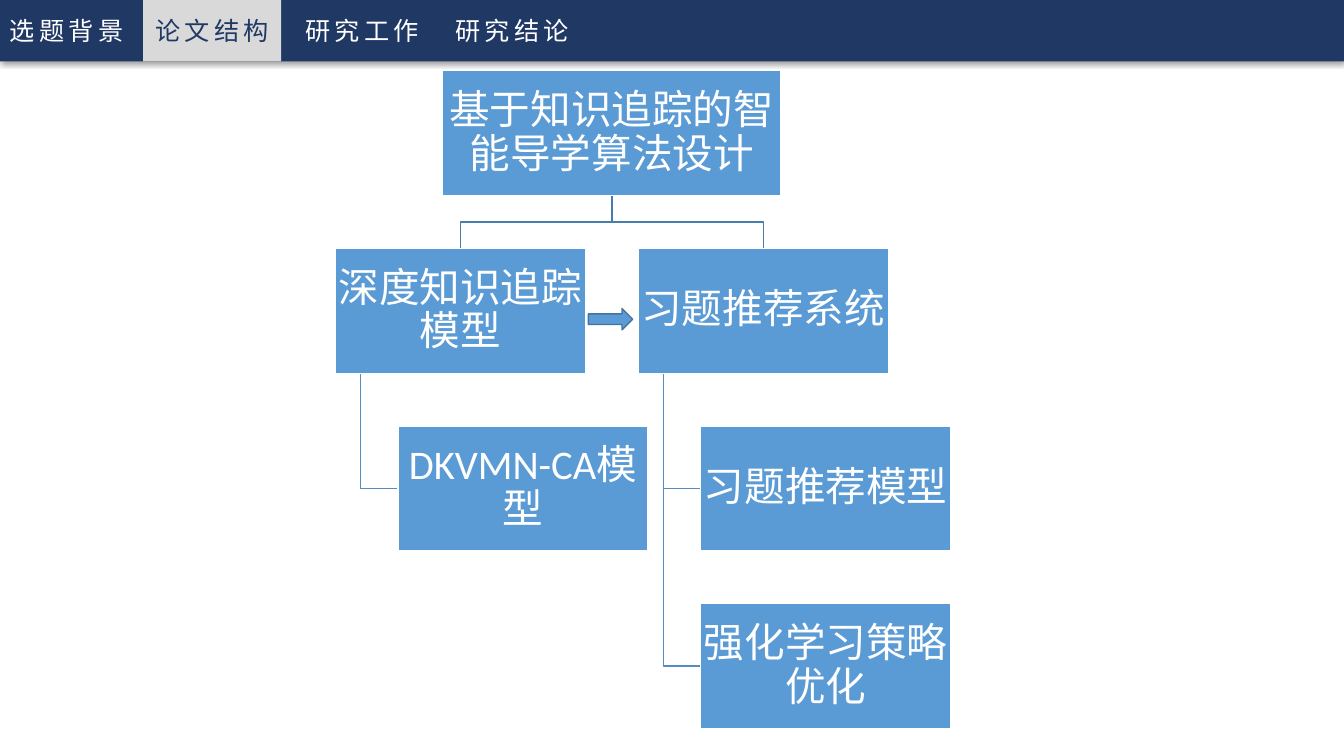
import pptx
import pptx.util
import pptx.oxml
import pptx.oxml.ns
from pptx.dml.color import RGBColor
from pptx.enum.shapes import MSO_SHAPE
from pptx.enum.text import MSO_ANCHOR, PP_ALIGN

Pt = pptx.util.Pt
NAVY = RGBColor(0x20, 0x38, 0x64)
GREY = RGBColor(0xD9, 0xD9, 0xD9)
WHITE = RGBColor(0xFF, 0xFF, 0xFF)
BLUE = RGBColor(0x5B, 0x9B, 0xD5)
BRANCH_LINE = RGBColor(0x49, 0x7C, 0xAB)
LEAF_LINE = RGBColor(0x53, 0x8D, 0xC1)
ARROW_LINE = RGBColor(0x43, 0x73, 0x9E)
TAB_FONT = "Noto Sans CJK JP"
TREE_FONT = "Calibri"

TABS = [("选题背景", 0), ("论文结构", 102.2), ("研究工作", 211), ("研究结论", 318.2)]
ACTIVE_TAB = "论文结构"
ROOT = "基于知识追踪的智能导学算法设计"
BRANCHES = [
    ("深度知识追踪模型", ["DKVMN-CA模型"]),
    ("习题推荐系统", ["习题推荐模型", "强化学习策略优化"]),
]

SLIDE_WIDTH, SLIDE_HEIGHT = 960, 540
BANNER_HEIGHT = 43.9
TAB_WIDTH, TAB_TOP, TAB_HEIGHT = 98.6, 7.4, 29.1
TREE_TOP, ROW_PITCH = 50.5, 126.9
TREE_LEFT, BRANCH_PITCH, LEAF_INDENT = 239.6, 216.3, 44.7
BOX_WIDTH, BOX_HEIGHT, ROOT_WIDTH = 178.7, 89.3, 241.9

presentation = pptx.Presentation()
presentation.slide_width, presentation.slide_height = Pt(SLIDE_WIDTH), Pt(SLIDE_HEIGHT)
slide = presentation.slides.add_slide(presentation.slide_layouts[6])
tree = slide.shapes.add_group_shape()


def add_block(shapes, kind, left, top, width, height, fill, line=None):
    shape = shapes.add_shape(kind, Pt(left), Pt(top), Pt(width), Pt(height))
    shape.shadow.inherit = False
    shape.fill.solid()
    shape.fill.fore_color.rgb = fill
    if line is None:
        shape.line.fill.background()
    else:
        shape.line.color.rgb = line
        shape.line.width = Pt(1)
    return shape


def write(shape, text, size, font_name, color, alignment):
    shape.text_frame.text = text
    paragraph = shape.text_frame.paragraphs[0]
    paragraph.alignment = alignment
    font = paragraph.runs[0].font
    font.size, font.name = Pt(size), font_name
    font.color.rgb = color
    return paragraph


def add_path(points, color):
    corners = [(Pt(x), Pt(y)) for x, y in points]
    builder = tree.shapes.build_freeform(*corners[0])
    builder.add_line_segments(corners[1:], close=False)
    shape = builder.convert_to_shape()
    shape.shadow.inherit = False
    shape.fill.background()
    shape.line.color.rgb = color
    shape.line.width = Pt(1)


def add_box(text, left, top, width=BOX_WIDTH):
    box = add_block(tree.shapes, MSO_SHAPE.RECTANGLE, left, top, width, BOX_HEIGHT, BLUE, WHITE)
    frame = box.text_frame
    frame.word_wrap = True
    frame.vertical_anchor = MSO_ANCHOR.MIDDLE
    frame.margin_left = frame.margin_right = frame.margin_top = frame.margin_bottom = Pt(1.45)
    write(box, text, 29, TREE_FONT, WHITE, PP_ALIGN.CENTER).line_spacing = 0.9


def add_tab(text, left):
    if text == ACTIVE_TAB:
        tab = add_block(slide.shapes, MSO_SHAPE.RECTANGLE, left, 0, TAB_WIDTH, BANNER_HEIGHT, GREY)
        color, alignment = NAVY, PP_ALIGN.CENTER
    else:
        tab = slide.shapes.add_textbox(Pt(left), Pt(TAB_TOP), Pt(TAB_WIDTH), Pt(TAB_HEIGHT))
        color, alignment = WHITE, PP_ALIGN.LEFT
    tab.text_frame.word_wrap = False
    tab.text_frame.vertical_anchor = MSO_ANCHOR.MIDDLE
    paragraph = write(tab, text, 18, TAB_FONT, color, alignment)
    properties = paragraph.runs[0].font._element
    properties.set("spc", "300")
    east_asian = pptx.oxml.parse_xml(
        f'<a:ea {pptx.oxml.ns.nsdecls("a")} typeface="{TAB_FONT}"/>')
    properties.find(pptx.oxml.ns.qn("a:latin")).addnext(east_asian)


branch_top = TREE_TOP + ROW_PITCH
root_bottom = TREE_TOP + BOX_HEIGHT
fork_y = (root_bottom + branch_top) / 2
root_x = TREE_LEFT + (BRANCH_PITCH + BOX_WIDTH) / 2
boxes = [(ROOT, root_x - ROOT_WIDTH / 2, TREE_TOP, ROOT_WIDTH)]

for column, (branch, leaves) in enumerate(BRANCHES):
    left = TREE_LEFT + column * BRANCH_PITCH
    center, stem_x = left + BOX_WIDTH / 2, left + BOX_WIDTH / 10
    add_path([(root_x, root_bottom), (root_x, fork_y), (center, fork_y), (center, branch_top)],
             BRANCH_LINE)
    boxes.append((branch, left, branch_top))
    for row, leaf in enumerate(leaves, start=1):
        leaf_left, leaf_top = left + LEAF_INDENT, branch_top + row * ROW_PITCH
        leaf_y = leaf_top + BOX_HEIGHT / 2
        add_path([(stem_x, branch_top + BOX_HEIGHT), (stem_x, leaf_y), (leaf_left, leaf_y)],
                 LEAF_LINE)
        boxes.append((leaf, leaf_left, leaf_top))

for box in boxes:
    add_box(*box)

banner = add_block(slide.shapes, MSO_SHAPE.RECTANGLE, 0, 0, SLIDE_WIDTH, BANNER_HEIGHT, NAVY)
effects = banner._element.spPr.find(pptx.oxml.ns.qn("a:effectLst"))
effects.append(pptx.oxml.parse_xml(
    f'<a:outerShdw {pptx.oxml.ns.nsdecls("a")} blurRad="50800" dist="12700" dir="5400000" '
    'algn="t" rotWithShape="0"><a:srgbClr val="000000"><a:alpha val="40000"/></a:srgbClr>'
    '</a:outerShdw>'))

for text, left in TABS:
    add_tab(text, left)

add_block(slide.shapes, MSO_SHAPE.RIGHT_ARROW, 420.3, 220.4, 31.6, 15.2, BLUE, ARROW_LINE)

presentation.save("out.pptx")
